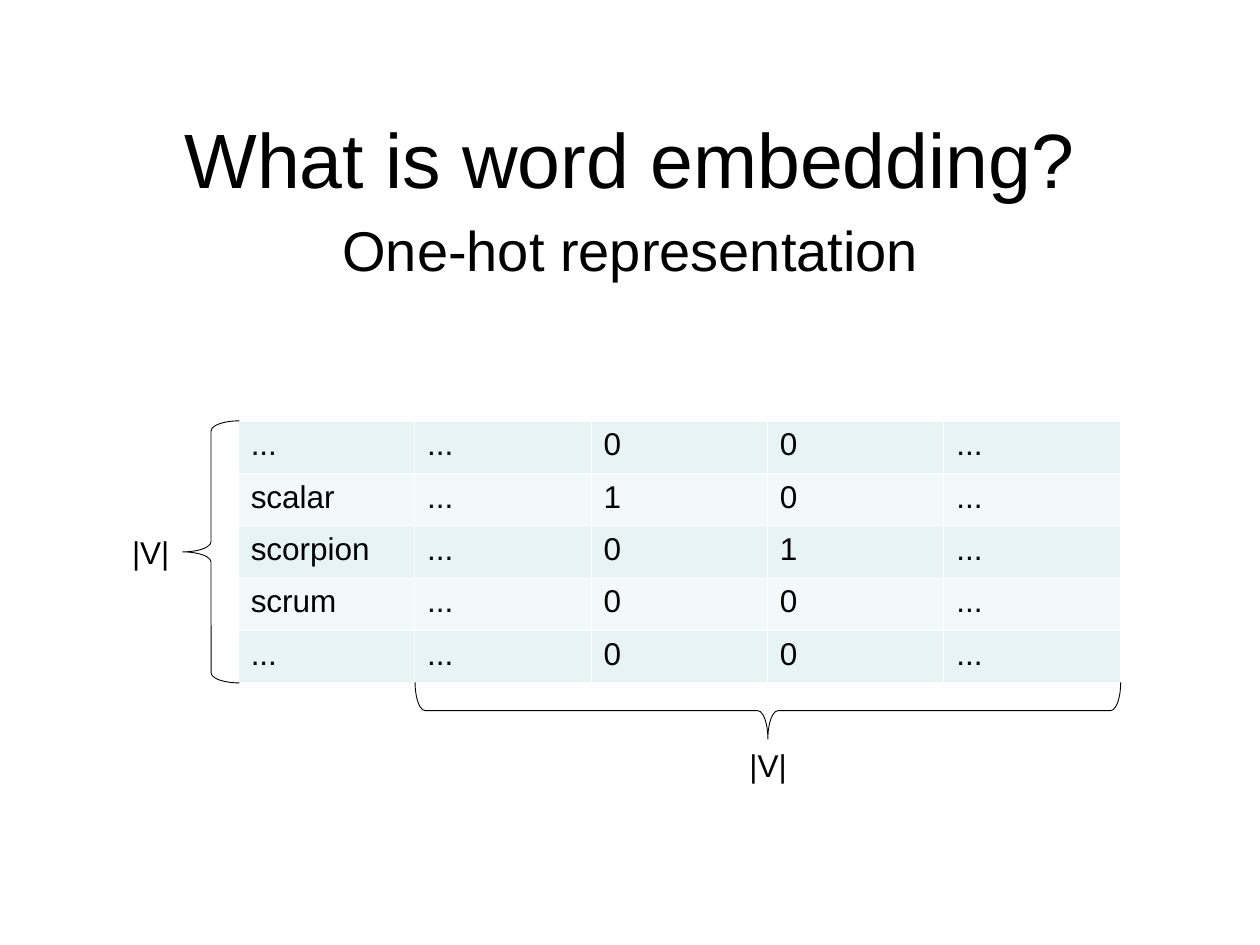
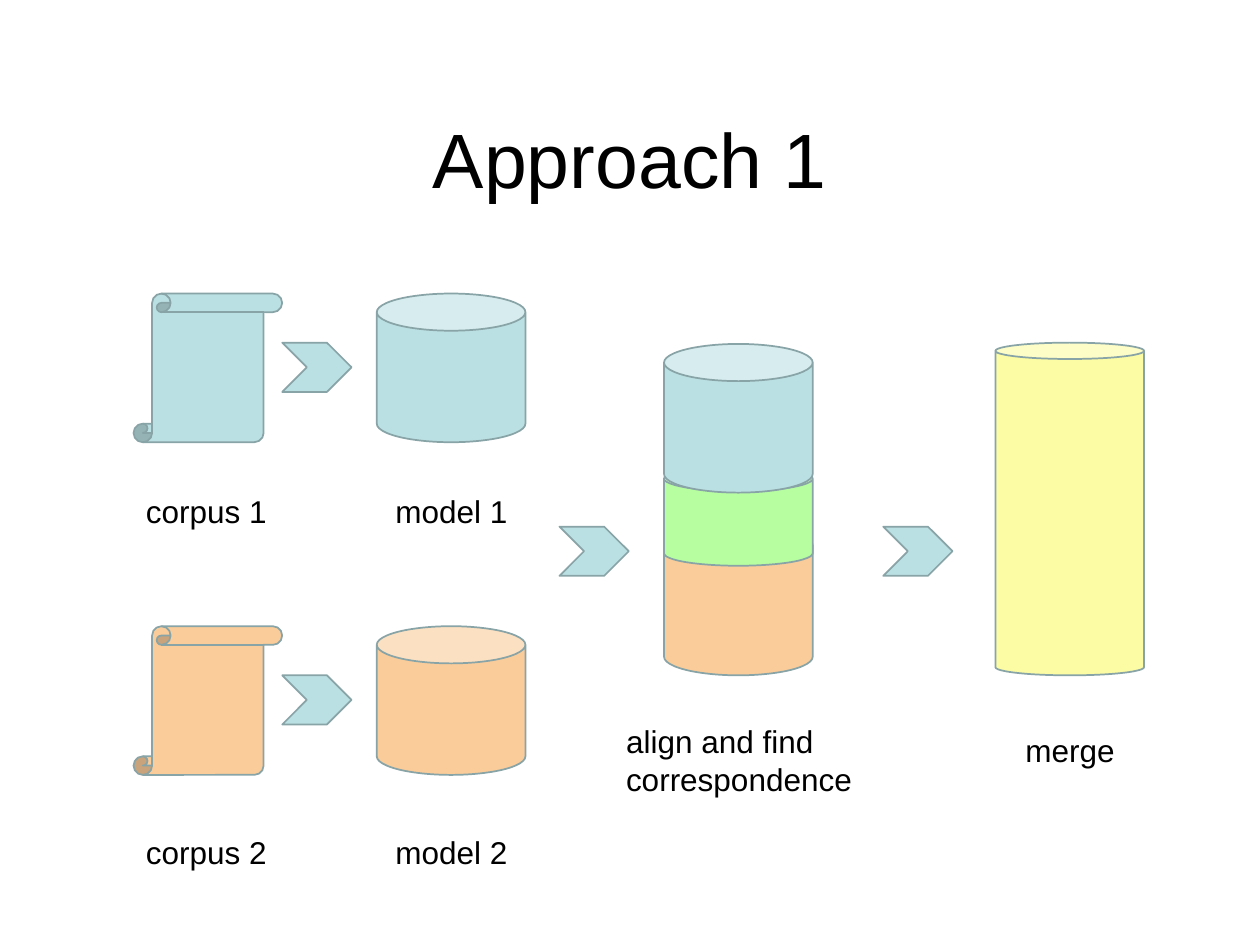
from typing import NamedTuple

from lxml.etree import SubElement
from pptx import Presentation
from pptx.dml.color import RGBColor
from pptx.enum.shapes import MSO_SHAPE as Preset
from pptx.enum.text import MSO_ANCHOR as Anchor, MSO_AUTO_SIZE as AutoSize, PP_ALIGN as Align
from pptx.oxml.ns import qn
from pptx.util import Inches, Pt

BLACK = RGBColor(0x00, 0x00, 0x00)
WHITE = RGBColor(0xFF, 0xFF, 0xFF)
BLUE = RGBColor(0xBB, 0xE0, 0xE3)
ORANGE = RGBColor(0xFA, 0xCC, 0x9A)
GREEN = RGBColor(0xB7, 0xFE, 0xA1)
YELLOW = RGBColor(0xFB, 0xFC, 0xA3)
OUTLINE = RGBColor(0x89, 0xA4, 0xA7)
BANDS = (RGBColor(0xE7, 0xF3, 0xF4), RGBColor(0xF3, 0xF9, 0xFA))

FONT = "Arial"
LABEL_HEIGHT = 0.4

ONE_HOT_ROWS = (
    ("...", "...", "0", "0", "..."),
    ("scalar", "...", "1", "0", "..."),
    ("scorpion", "...", "0", "1", "..."),
    ("scrum", "...", "0", "0", "..."),
    ("...", "...", "0", "0", "..."),
)


class Box(NamedTuple):
    """A rectangle in inches."""
    left: float
    top: float
    width: float
    height: float

    def lengths(self) -> tuple:
        return tuple(Inches(value) for value in self)


class Figure(NamedTuple):
    """A preset shape with its first adjustment."""
    preset: Preset
    box: Box
    fill: RGBColor | None
    adjustment: float
    line: RGBColor = OUTLINE
    line_width: float = 1
    rotation: float = 0


def write_text(frame, text: str, size: float = 18, align: Align = Align.LEFT,
               space_before: float = 0) -> None:
    for index, line in enumerate(text.split("\n")):
        paragraph = frame.add_paragraph() if index else frame.paragraphs[0]
        paragraph.alignment = align
        paragraph.space_before = Pt(space_before)
        run = paragraph.add_run()
        run.text = line
        run.font.name = FONT
        run.font.size = Pt(size)
        run.font.color.rgb = BLACK


def add_text(slide, text: str, box: Box, wrap: bool = False,
             anchor: Anchor = Anchor.TOP, **text_format) -> None:
    frame = slide.shapes.add_textbox(*box.lengths()).text_frame
    frame.word_wrap = wrap
    # Unwrapped labels grow with their text
    frame.auto_size = AutoSize.NONE if wrap else AutoSize.SHAPE_TO_FIT_TEXT
    frame.vertical_anchor = anchor
    write_text(frame, text, **text_format)


def add_title(slide, text: str) -> None:
    add_text(slide, text, Box(0.75, 0.45, 8.5, 1.61), wrap=True,
             anchor=Anchor.MIDDLE, size=44, align=Align.CENTER)


def add_figure(slide, figure: Figure) -> None:
    shape = slide.shapes.add_shape(figure.preset, *figure.box.lengths())
    shape.shadow.inherit = False
    shape.adjustments[0] = figure.adjustment
    shape.rotation = figure.rotation
    if figure.fill is None:
        shape.fill.background()
    else:
        shape.fill.solid()
        shape.fill.fore_color.rgb = figure.fill
    shape.line.color.rgb = figure.line
    shape.line.width = Pt(figure.line_width)


def set_cell_borders(cell, color: RGBColor, width: float) -> None:
    properties = cell._tc.get_or_add_tcPr()
    for side in ("lnL", "lnR", "lnT", "lnB"):
        line = SubElement(properties, qn(f"a:{side}"), w=str(Pt(width)))
        fill = SubElement(line, qn("a:solidFill"))
        SubElement(fill, qn("a:srgbClr"), val=str(color))


def add_banded_table(slide, rows: tuple, box: Box) -> None:
    frame = slide.shapes.add_table(len(rows), len(rows[0]), *box.lengths())
    table = frame.table
    table.first_row = False
    for row_index, row in enumerate(rows):
        for column_index, text in enumerate(row):
            cell = table.cell(row_index, column_index)
            set_cell_borders(cell, WHITE, 0.45)
            cell.fill.solid()
            cell.fill.fore_color.rgb = BANDS[row_index % 2]
            write_text(cell.text_frame, text)


def brace(box: Box, rotation: float = 0) -> Figure:
    return Figure(Preset.LEFT_BRACE, box, None, 0.18, BLACK, 0.5, rotation)


def can(left: float, top: float, fill: RGBColor, height: float = 1.18,
        adjustment: float = 0.25) -> Figure:
    return Figure(Preset.CAN, Box(left, top, 1.18, height), fill, adjustment)


def chevron(left: float, top: float) -> Figure:
    return Figure(Preset.CHEVRON, Box(left, top, 0.55, 0.39), BLUE, 0.5)


def build_one_hot_slide(slide) -> None:
    add_title(slide, "What is word embedding?")
    add_text(slide, "One-hot representation", Box(2.51, 1.66, 4.99, 0.78),
             wrap=True, size=32, align=Align.CENTER, space_before=8)
    table_box = Box(1.89, 3.34, 7, 2.08)
    add_banded_table(slide, ONE_HOT_ROWS, table_box)

    # Vocabulary size along both sides of the table
    add_figure(slide, brace(Box(1.45, table_box.top, 0.45, table_box.height)))
    add_figure(slide, brace(Box(5.87, 2.84, 0.45, 5.6), rotation=270))
    for left, top in ((0.95, 4.18), (5.85, 5.87)):
        add_text(slide, "|V|", Box(left, top, 0.5, LABEL_HEIGHT))


def build_approach_slide(slide) -> None:
    add_title(slide, "Approach 1")

    # One row per corpus: scroll, chevron, model
    for index, fill in enumerate((BLUE, ORANGE)):
        top = 2.33 + 2.64 * index
        label_top = 3.86 + 2.7 * index
        scroll_box = Box(1.06, top, 1.18, 1.18)
        add_figure(slide, Figure(Preset.VERTICAL_SCROLL, scroll_box, fill, 0.125))
        add_figure(slide, chevron(2.24, top + 0.39))
        add_figure(slide, can(2.99, top, fill))
        add_text(slide, f"corpus {index + 1}",
                 Box(1.06, label_top, 1.16, LABEL_HEIGHT))
        add_text(slide, f"model {index + 1}",
                 Box(3.04, label_top, 1.09, LABEL_HEIGHT))

    # Aligned models overlap from bottom to top, then merge
    for figure in (
        can(5.27, 4.18, ORANGE),
        can(5.27, 3.7, GREEN, height=0.79),
        can(5.27, 2.73, BLUE),
        chevron(4.44, 4.18),
        chevron(7.01, 4.18),
        can(7.9, 2.72, YELLOW, height=2.64, adjustment=0.11),
    ):
        add_figure(slide, figure)
    add_text(slide, "align and find\ncorrespondence", Box(4.87, 5.68, 1.99, 0.7))
    add_text(slide, "merge", Box(8.04, 5.75, 0.91, LABEL_HEIGHT))


def main() -> None:
    presentation = Presentation()
    presentation.slide_width = Inches(10)
    presentation.slide_height = Inches(7.5)
    blank_layout = presentation.slide_layouts[6]
    for build in (build_one_hot_slide, build_approach_slide):
        build(presentation.slides.add_slide(blank_layout))
    presentation.save("out.pptx")


if __name__ == "__main__":
    main()
